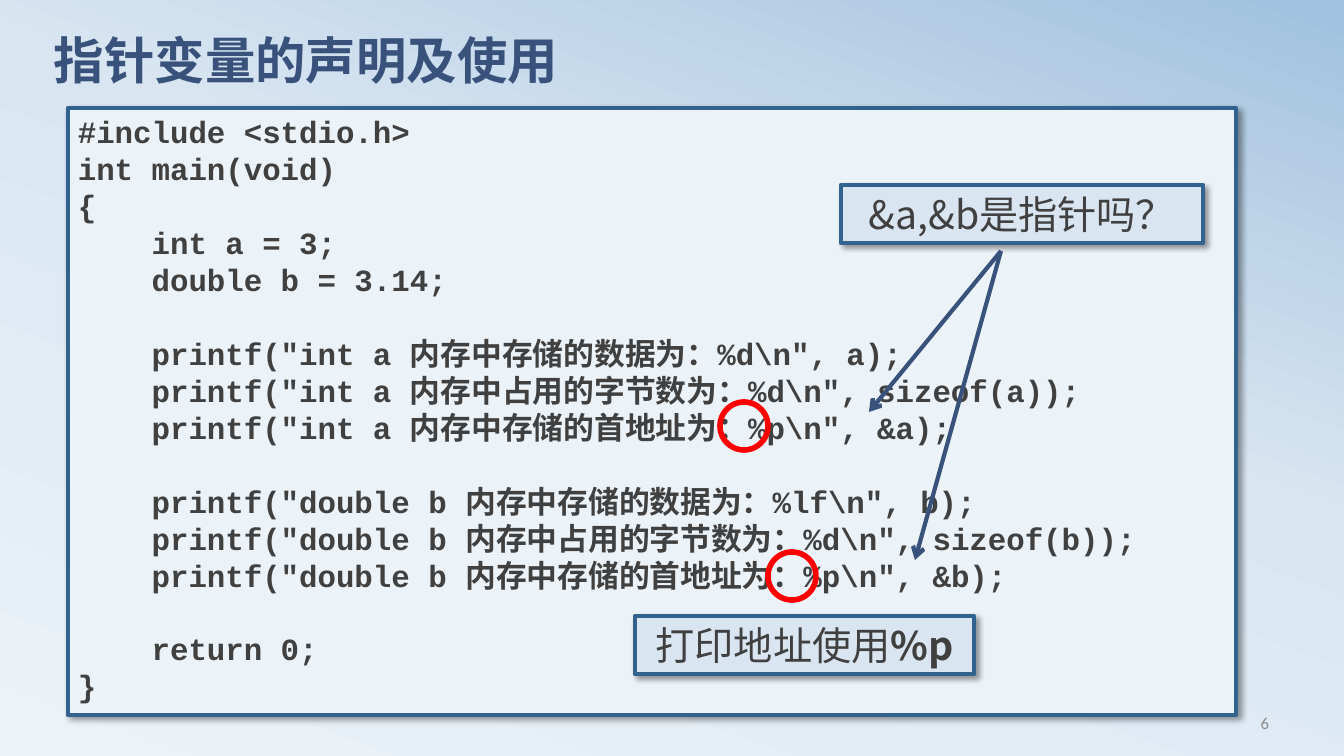
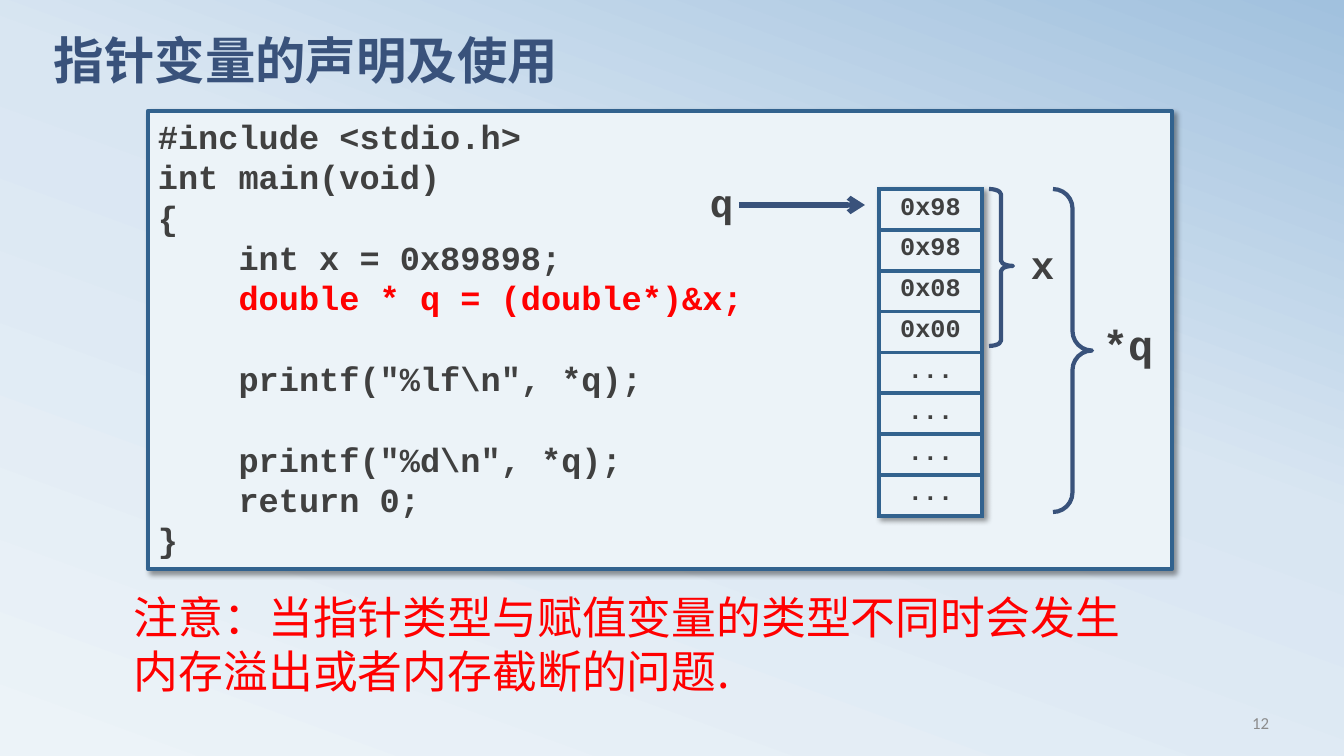
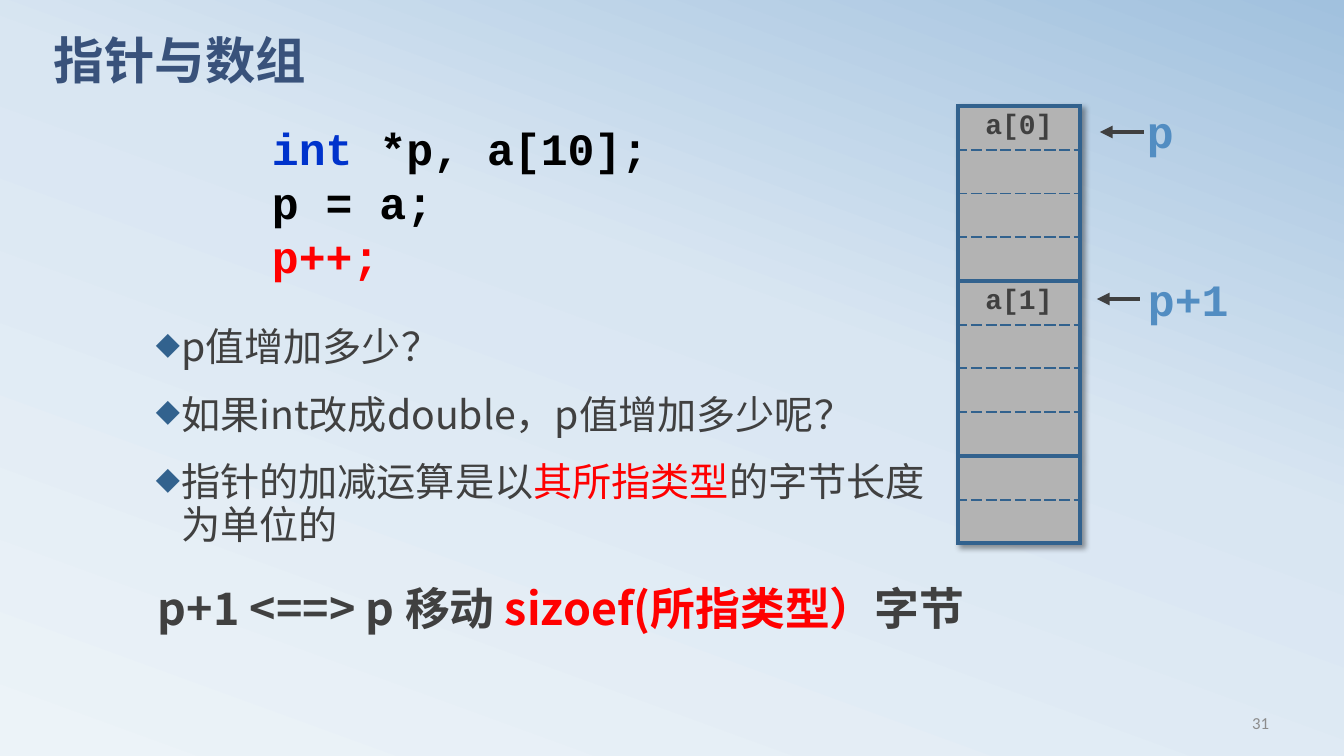
from dataclasses import dataclass

from lxml.etree import SubElement
from pptx import Presentation
from pptx.dml.color import RGBColor
from pptx.enum.shapes import MSO_CONNECTOR as LINK, MSO_SHAPE as FORM
from pptx.enum.text import MSO_ANCHOR as ANCHOR, PP_ALIGN as ALIGN
from pptx.oxml.ns import qn
from pptx.util import Emu, Inches, Pt

# Shared look
ICE = RGBColor(0xEC, 0xF3, 0xF8)
PALE = RGBColor(0xD9, 0xE6, 0xF2)
SKY = RGBColor(0xA1, 0xC1, 0xDE)
STEEL = RGBColor(0x32, 0x62, 0x8E)
NAVY = RGBColor(0x39, 0x52, 0x7B)
AZURE = RGBColor(0x52, 0x8D, 0xC2)
BLUE = RGBColor(0x00, 0x33, 0xCC)
RED = RGBColor(0xFF, 0x00, 0x00)
INK = RGBColor(0x40, 0x40, 0x40)
BLACK = RGBColor(0x00, 0x00, 0x00)
GREY = RGBColor(0x8C, 0x8C, 0x8C)
STONE = RGBColor(0xB3, 0xB3, 0xB3)
SANS, MONO, BODY = "Calibri", "Courier New", "Noto Sans CJK SC"
SCALE = 914400 / 100.8


@dataclass(frozen=True)
class Box:
    left: int
    top: int
    width: int
    height: int

    def emu(self) -> list[Emu]:
        return [px(n) for n in (self.left, self.top, self.width, self.height)]


@dataclass(frozen=True)
class Type:
    size: int
    color: RGBColor = INK
    font: str = BODY
    bold: bool = False
    align: ALIGN = ALIGN.LEFT


@dataclass(frozen=True)
class Accent:
    word: str
    color: RGBColor = RED
    bold: bool = False


@dataclass(frozen=True)
class Arrow:
    start: tuple[int, int]
    end: tuple[int, int]
    color: RGBColor = NAVY
    width: float = 3
    head: str = "arrow"


@dataclass(frozen=True)
class Label:
    text: str
    box: Box
    type: Type


@dataclass(frozen=True)
class Brace:
    box: Box
    curl: float
    tip: float


def px(n: int) -> Emu:
    return Emu(round(n * SCALE))


def node(parent, tag: str, **attrs):
    return SubElement(parent, qn(tag), {k: str(v) for k, v in attrs.items()})


def paint(parent, color: RGBColor) -> None:
    node(node(parent, "a:solidFill"), "a:srgbClr", val=color)


# Text
def write(frame, text: str, kind: Type, accents: tuple[Accent, ...] = ()) -> None:
    frame.text = text
    for par in frame.paragraphs:
        par.alignment = kind.align
        hit = next((a for a in accents if a.word in par.text), None)
        if hit:
            head, word, rest = par.text.partition(hit.word)
            par.text = head
            for part in filter(None, (word, rest)):
                par.add_run().text = part
        for run in par.runs:
            mark = hit if hit and run.text == hit.word else kind
            font = run.font
            font.name, font.size = kind.font, Pt(kind.size)
            font.bold = kind.bold or mark.bold
            font.color.rgb = mark.color
            node(run._r.get_or_add_rPr(), "a:ea", typeface=BODY)
        if not par.runs:
            end = node(par._p, "a:endParaRPr", sz=kind.size * 100)
            node(end, "a:latin", typeface=kind.font)


def note(slide, box: Box, text: str, kind: Type, accents: tuple[Accent, ...] = ()):
    frame = slide.shapes.add_textbox(*box.emu()).text_frame
    frame.word_wrap = True
    write(frame, text, kind, accents)
    return frame


def bullet(par) -> None:
    par.line_spacing, par.space_before = 0.9, Pt(18)
    props = par._p.get_or_add_pPr()
    props.set("marL", str(Inches(0.25)))
    props.set("indent", str(-Inches(0.25)))
    node(node(props, "a:buClr"), "a:srgbClr", val=STEEL)
    node(props, "a:buSzPct", val=80000)
    node(props, "a:buChar", char="◆")


# Shapes
def shade(effects) -> None:
    drop = node(effects, "a:outerShdw", blurRad=Pt(4), dist=Pt(3),
                dir=45 * 60000, algn="tl", rotWithShape=0)
    node(node(drop, "a:srgbClr", val=BLACK), "a:alpha", val=40000)


def outline(slide, form: FORM, box: Box, color: RGBColor, width: float):
    shape = slide.shapes.add_shape(form, *box.emu())
    shape.shadow.inherit = False
    shape.fill.background()
    shape.line.color.rgb = color
    shape.line.width = Pt(width)
    return shape


def panel(slide, box: Box, fill: RGBColor, text: str, kind: Type,
          accents: tuple[Accent, ...] = ()) -> None:
    shape = outline(slide, FORM.RECTANGLE, box, STEEL, 3)
    shape.fill.solid()
    shape.fill.fore_color.rgb = fill
    shade(shape._element.spPr.find(qn("a:effectLst")))
    frame = shape.text_frame
    frame.word_wrap, frame.vertical_anchor = True, ANCHOR.TOP
    write(frame, text, kind, accents)


def link(slide, arrow: Arrow) -> None:
    ends = [px(n) for n in (*arrow.start, *arrow.end)]
    line = slide.shapes.add_connector(LINK.STRAIGHT, *ends)
    line.line.color.rgb = arrow.color
    line.line.width = Pt(arrow.width)
    props = line._element.spPr
    node(props.find(qn("a:ln")), "a:tailEnd", type=arrow.head)
    node(props, "a:effectLst")


# Memory columns: a solid rule opens each group of cells, dashes split it
def edge(cell, spot: int, side: str, solid: bool) -> None:
    props = cell._tc.get_or_add_tcPr()
    line = node(props, f"a:ln{side}", w=Pt(3 if solid else 1.5))
    paint(line, STEEL)
    node(line, "a:prstDash", val="solid" if solid else "sysDash")
    props.insert(spot, line)


def memory(slide, box: Box, cells: list[str], group: int, fill: RGBColor,
           kind: Type) -> None:
    count = len(cells)
    table = slide.shapes.add_table(count, 1, *box.emu()).table
    table.first_row = table.horz_banding = False
    props = table._tbl.tblPr
    effects = node(props, "a:effectLst")
    props.insert(0, effects)
    shade(effects)
    for i, text in enumerate(cells):
        table.rows[i].height = Emu(px(box.height) // count)
        cell = table.cell(i, 0)
        cell.fill.solid()
        cell.fill.fore_color.rgb = fill
        write(cell.text_frame, text, kind)
        top = i % group == 0
        base = (i + 1) % group == 0 or i + 1 == count
        for spot, (side, solid) in enumerate(
                (("L", True), ("R", True), ("T", top), ("B", base))):
            edge(cell, spot, side, solid)


# Slide frame
def backdrop(deck) -> None:
    master = deck.slide_master
    fill = master.background.fill
    fill.gradient()
    fill.gradient_angle = 70
    stops = next(master.element.iter(qn("a:gsLst")))
    for stop in list(stops):
        stops.remove(stop)
    for pos, color in ((0, ICE), (58, PALE), (100, SKY)):
        node(node(stops, "a:gs", pos=pos * 1000), "a:srgbClr", val=color)


def page(deck, title: str, number: int):
    slide = deck.slides.add_slide(deck.slide_layouts[6])
    head = note(slide, Box(44, 36, 1210, 95), title, Type(36, NAVY, SANS, True))
    head.paragraphs[0].line_spacing = 0.8
    foot = note(slide, Box(966, 703, 313, 40), str(number),
                Type(12, GREY, SANS, align=ALIGN.RIGHT))
    foot.vertical_anchor = ANCHOR.MIDDLE
    return slide


PRINT = r"""#include <stdio.h>
int main(void)
{
    int a = 3;
    double b = 3.14;

    printf("int a 内存中存储的数据为：%d\n", a);
    printf("int a 内存中占用的字节数为：%d\n", sizeof(a));
    printf("int a 内存中存储的首地址为：%p\n", &a);

    printf("double b 内存中存储的数据为：%lf\n", b);
    printf("double b 内存中占用的字节数为：%d\n", sizeof(b));
    printf("double b 内存中存储的首地址为：%p\n", &b);

    return 0;
}"""

CAST = r"""#include <stdio.h>
int main(void)
{
    int x = 0x89898;
    double * q = (double*)&x;

    printf("%lf\n", *q);

    printf("%d\n", *q);
    return 0;
}"""


def address(deck) -> None:
    slide = page(deck, "指针变量的声明及使用", 6)
    panel(slide, Box(68, 108, 1168, 607), ICE, PRINT, Type(22, font=MONO, bold=True))
    call = Type(28, align=ALIGN.CENTER)
    panel(slide, Box(841, 185, 362, 58), PALE, "&a,&b是指针吗？", call)
    for end in ((869, 412), (915, 560)):
        link(slide, Arrow((1001, 251), end))
    for left, top in ((720, 402), (768, 552)):
        outline(slide, FORM.OVAL, Box(left, top, 48, 48), RED, 4)
    panel(slide, Box(635, 616, 339, 58), PALE, "打印地址使用%p", call,
          (Accent("%p", INK, True),))


def overflow(deck) -> None:
    slide = page(deck, "指针变量的声明及使用", 12)
    panel(slide, Box(148, 111, 1024, 458), ICE, CAST,
          Type(24, font=MONO, bold=True), (Accent("double * q = (double*)&x;"),))
    note(slide, Box(124, 585, 1048, 119),
         "注意：当指针类型与赋值变量的类型不同时会发生内存溢出或者内存截断的问题.",
         Type(32, RED))
    memory(slide, Box(879, 189, 103, 327),
           ["0x98", "0x98", "0x08", "0x00"] + ["..."] * 4, 1, ICE,
           Type(18, font=MONO, bold=True, align=ALIGN.CENTER))
    for brace in (Brace(Box(989, 189, 24, 157), 0.22, 0.49),
                  Brace(Box(1053, 189, 39, 323), 0.5, 0.5)):
        shape = outline(slide, FORM.RIGHT_BRACE, brace.box, NAVY, 3)
        shape.adjustments[0], shape.adjustments[1] = brace.curl, brace.tip
    code = Type(28, font=MONO, bold=True)
    for label in (Label("x", Box(1021, 235, 45, 57), code),
                  Label("*q", Box(1093, 314, 76, 61),
                        Type(30, font=MONO, bold=True)),
                  Label("q", Box(700, 173, 47, 57), code)):
        note(slide, label.box, label.text, label.type)
    link(slide, Arrow((739, 205), (865, 205), width=3.75))


def array(deck) -> None:
    slide = page(deck, "指针与数组", 31)
    note(slide, Box(262, 116, 497, 173), "int *p, a[10];\np = a;\np++;",
         Type(32, BLACK, MONO, True), (Accent("int", BLUE), Accent("p++;")))
    asks = note(slide, Box(146, 323, 795, 262),
                "p值增加多少？\n如果int改成double，p值增加多少呢？\n"
                "指针的加减运算是以其所指类型的字节长度为单位的",
                Type(28), (Accent("其所指类型"),))
    for par in asks.paragraphs:
        bullet(par)
    note(slide, Box(148, 576, 885, 65), "p+1 <==> p 移动 sizoef(所指类型）字节",
         Type(32, bold=True), (Accent("sizoef(所指类型）"),))
    cells = ["a[0]", "", "", "", "a[1]"] + [""] * 5
    memory(slide, Box(958, 106, 122, 437), cells, 4, STONE,
           Type(20, font=MONO, bold=True, align=ALIGN.CENTER))
    # Pointers into the column
    code = Type(32, AZURE, MONO, True)
    for label in (Label("p", Box(1137, 99, 76, 65), code),
                  Label("p+1", Box(1138, 267, 105, 65), code)):
        note(slide, label.box, label.text, label.type)
    for right, left, y in ((1144, 1100, 132), (1140, 1097, 299)):
        link(slide, Arrow((right, y), (left, y), INK, head="triangle"))


def main() -> None:
    deck = Presentation()
    deck.slide_width, deck.slide_height = px(1344), px(756)
    backdrop(deck)
    for build in (address, overflow, array):
        build(deck)
    deck.save("out.pptx")


if __name__ == "__main__":
    main()
